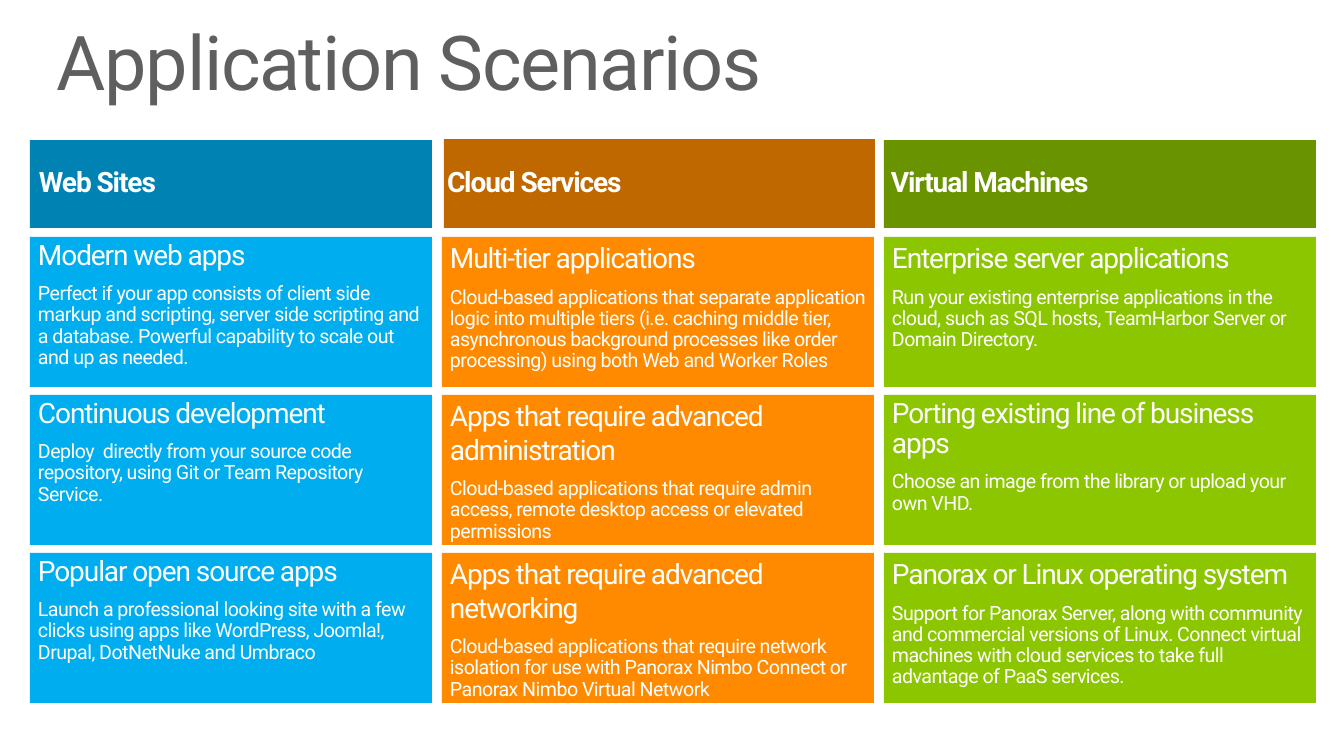
from pptx import Presentation
from pptx.dml.color import RGBColor
from pptx.enum.shapes import MSO_SHAPE
from pptx.enum.text import MSO_ANCHOR, MSO_AUTO_SIZE, PP_ALIGN
from pptx.util import Emu, Pt

WHITE = RGBColor(0xFF, 0xFF, 0xFF)
GREY = RGBColor(0x5F, 0x5F, 0x5F)
BLUE, DARK_BLUE = RGBColor(0x00, 0xAE, 0xEF), RGBColor(0x00, 0x83, 0xB3)
ORANGE, DARK_ORANGE = RGBColor(0xFF, 0x8A, 0x00), RGBColor(0xBF, 0x68, 0x00)
GREEN, DARK_GREEN = RGBColor(0x8C, 0xC6, 0x00), RGBColor(0x69, 0x94, 0x00)

# Text formats: font size in points, letter spacing in hundredths of a point
TITLE = dict(size=54, color=GREY, spacing=-100)
HEADER = dict(size=20, color=WHITE, spacing=-80, bold=True)
HEADING = dict(size=20, color=WHITE, spacing=-80)
DETAIL = dict(size=14, color=WHITE, spacing=-40)

CARD_TOP, CARD_HEIGHT, CARD_PITCH = 237, 150, 158

# Each card: heading, heading line spacing, detail
COLUMNS = [
    dict(title="Web Sites", fill=BLUE, header_fill=DARK_BLUE, left=30, width=402,
         header_box=(30, 140, 402, 88), label_left=31, cards=[
             ("Modern web apps", 0.9,
              "Perfect if your app consists of client side markup and scripting, server side "
              "scripting and a database. Powerful capability to scale out and up as needed."),
             ("Continuous development", 0.9,
              "Deploy  directly from your source code repository, using Git or Team Repository "
              "Service."),
             ("Popular open source apps", 0.9,
              "Launch a professional looking site with a few clicks using apps like WordPress, "
              "Joomla!, Drupal, DotNetNuke and Umbraco")]),
    dict(title="Cloud Services", fill=ORANGE, header_fill=DARK_ORANGE, left=442, width=432,
         header_box=(444, 139, 431, 89), label_left=439, cards=[
             ("Multi-tier applications", 1.0,
              "Cloud-based applications that separate application logic into multiple tiers "
              "(i.e. caching middle tier, asynchronous background processes like order "
              "processing) using both Web and Worker Roles"),
             ("Apps that require advanced administration", 1.0,
              "Cloud-based applications that require admin access, remote desktop access or "
              "elevated permissions"),
             ("Apps that require advanced networking", 1.0,
              "Cloud-based applications that require network isolation for use with Panorax "
              "Nimbo Connect or Panorax Nimbo Virtual Network")]),
    dict(title="Virtual Machines", fill=GREEN, header_fill=DARK_GREEN, left=884, width=432,
         header_box=(884, 140, 432, 88), label_left=883, cards=[
             ("Enterprise server applications", 1.0,
              "Run your existing enterprise applications in the cloud, such as SQL hosts, "
              "TeamHarbor Server or Domain Directory."),
             ("Porting existing line of business apps", 0.9,
              "Choose an image from the library or upload your own VHD."),
             ("Panorax or Linux operating system", 1.0,
              "Support for Panorax Server, along with community and commercial versions of "
              "Linux. Connect virtual machines with cloud services to take full advantage of "
              "PaaS services.")]),
]


def px(n):
    return Emu(round(n * 914400 / 100.8))


def set_frame(tf, inset_x, inset_y, **options):
    values = dict(word_wrap=True, vertical_anchor=MSO_ANCHOR.TOP,
                  margin_left=px(inset_x), margin_right=px(inset_x),
                  margin_top=px(inset_y), margin_bottom=px(inset_y))
    for name, value in {**values, **options}.items():
        setattr(tf, name, value)


def write(p, text, fmt, line_spacing=1.0, space_after=0):
    for name, value in dict(alignment=PP_ALIGN.LEFT, line_spacing=line_spacing,
                            space_before=Pt(0), space_after=Pt(space_after)).items():
        setattr(p, name, value)
    r = p.add_run()
    r.text = text
    for name, value in dict(name="Roboto", size=Pt(fmt["size"]),
                            bold=fmt.get("bold", False)).items():
        setattr(r.font, name, value)
    r.font.color.rgb = fmt["color"]
    r._r.get_or_add_rPr().set("spc", str(fmt["spacing"]))


def add_block(shapes, kind, box, fill):
    sp = shapes.add_shape(kind, *map(px, box))
    sp.shadow.inherit = False
    sp.fill.solid()
    sp.fill.fore_color.rgb = fill
    sp.line.fill.background()
    return sp


def add_title(s, box, text):
    sp = s.shapes.title
    sp.left, sp.top, sp.width, sp.height = map(px, box)
    set_frame(sp.text_frame, 0, 0, auto_size=MSO_AUTO_SIZE.SHAPE_TO_FIT_TEXT)
    write(sp.text_frame.paragraphs[0], text, TITLE, 0.9)


def add_header(s, box, label_left, text, fill):
    group = s.shapes.add_group_shape()
    add_block(group.shapes, MSO_SHAPE.RECTANGLE, box, fill)
    label = group.shapes.add_textbox(px(label_left), px(161), px(box[2]), px(42))
    set_frame(label.text_frame, 8, 4, auto_size=MSO_AUTO_SIZE.SHAPE_TO_FIT_TEXT)
    write(label.text_frame.paragraphs[0], text, HEADER)


def add_card(s, box, fill, heading, heading_spacing, detail):
    sp = add_block(s.shapes, MSO_SHAPE.ROUNDED_RECTANGLE, box, fill)
    sp.adjustments[0] = 0
    tf = sp.text_frame
    set_frame(tf, 8, 4)
    write(tf.paragraphs[0], heading, HEADING, heading_spacing, 9)
    write(tf.add_paragraph(), detail, DETAIL, 0.9, 9)


def add_column(s, column):
    add_header(s, column["header_box"], column["label_left"], column["title"],
               column["header_fill"])
    for row, card in enumerate(column["cards"]):
        box = (column["left"], CARD_TOP + row * CARD_PITCH, column["width"], CARD_HEIGHT)
        add_card(s, box, column["fill"], *card)


def main():
    prs = Presentation()
    prs.slide_width, prs.slide_height = px(1344), px(756)
    s = prs.slides.add_slide(prs.slide_layouts[5])  # title only

    # Title above three scenario columns
    add_title(s, (57, 25, 1230, 83), "Application Scenarios")
    for column in COLUMNS:
        add_column(s, column)

    prs.save("out.pptx")


if __name__ == "__main__":
    main()
